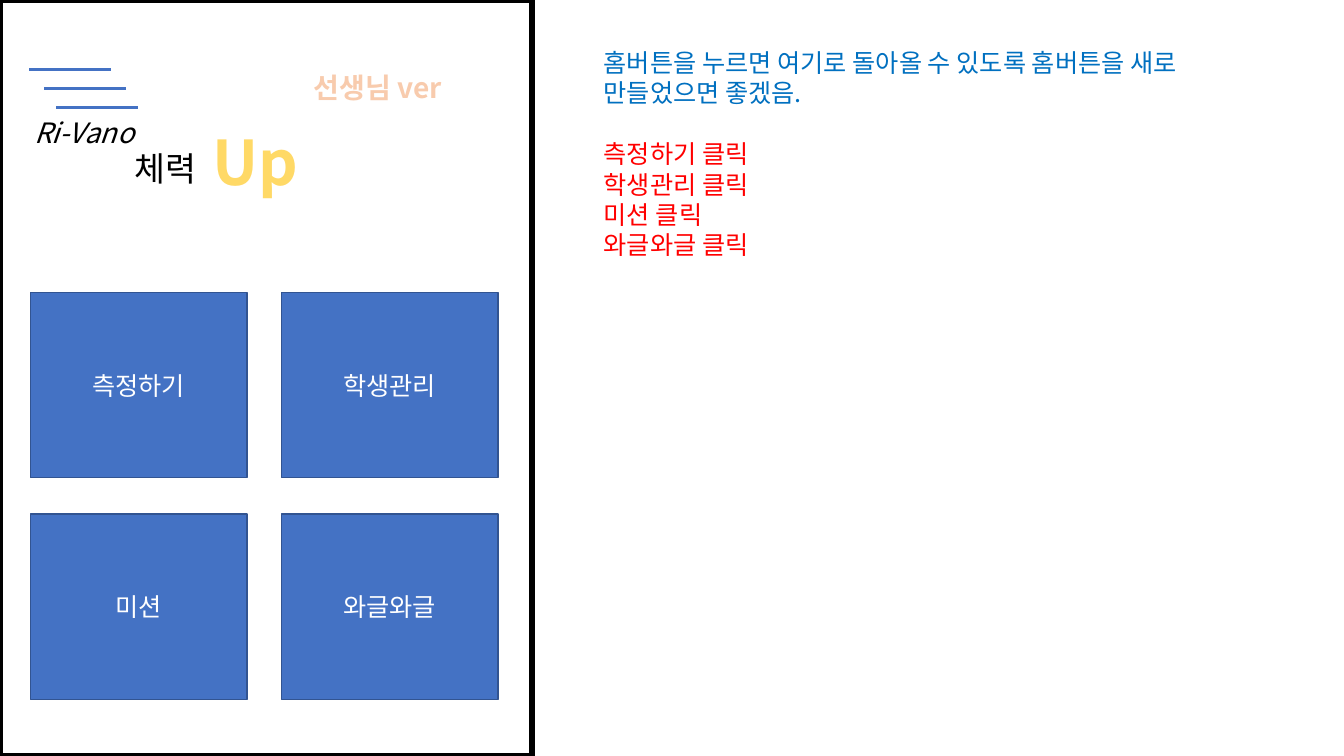
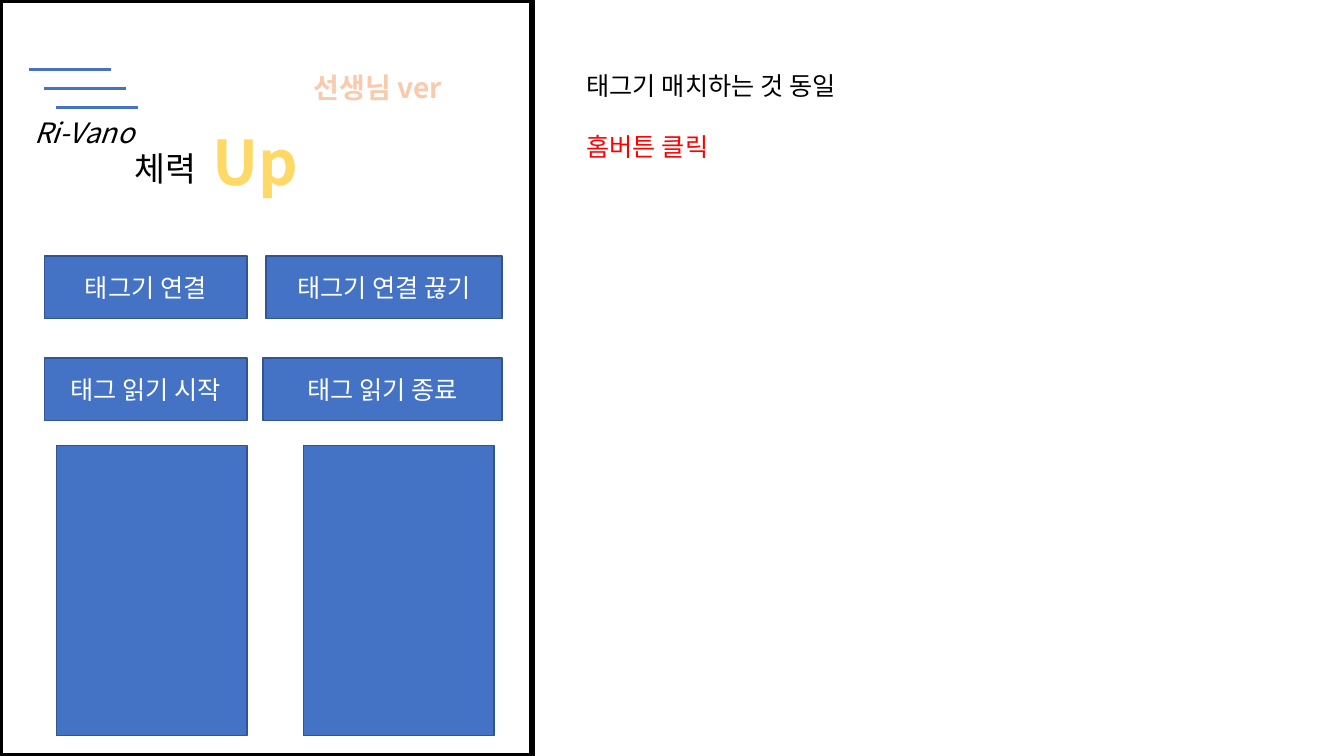
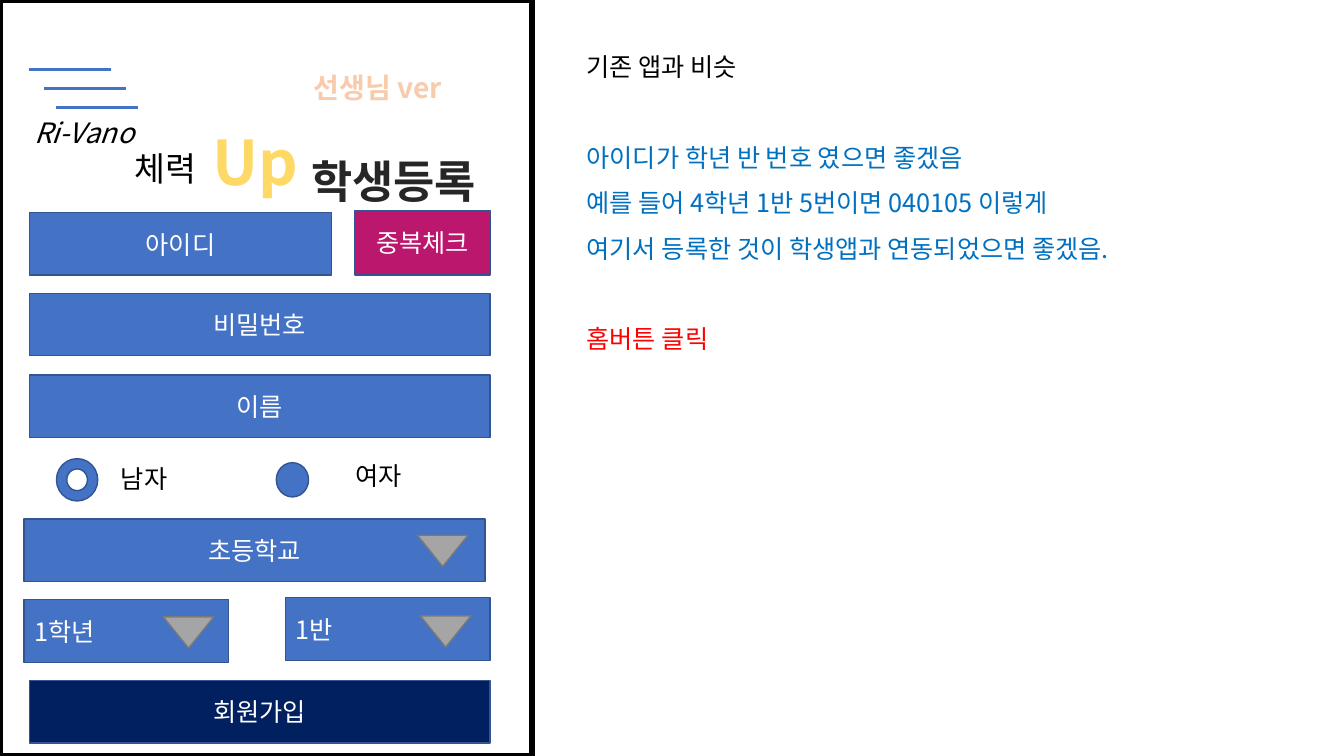
from lxml import etree
from pptx import Presentation
from pptx.dml.color import RGBColor
from pptx.enum.shapes import MSO_CONNECTOR, MSO_SHAPE
from pptx.enum.text import MSO_ANCHOR, MSO_AUTO_SIZE, PP_ALIGN
from pptx.oxml.ns import qn
from pptx.util import Inches, Pt

RECTANGLE = MSO_SHAPE.RECTANGLE
OVAL = MSO_SHAPE.OVAL
DONUT = MSO_SHAPE.DONUT
TRIANGLE = MSO_SHAPE.ISOSCELES_TRIANGLE
STRAIGHT = MSO_CONNECTOR.STRAIGHT
LEFT, CENTER = PP_ALIGN.LEFT, PP_ALIGN.CENTER
TOP, MIDDLE = MSO_ANCHOR.TOP, MSO_ANCHOR.MIDDLE
GROW = MSO_AUTO_SIZE.SHAPE_TO_FIT_TEXT

FONT = "Noto Sans CJK KR"
BLACK = RGBColor(0x00, 0x00, 0x00)
WHITE = RGBColor(0xFF, 0xFF, 0xFF)
BLUE = RGBColor(0x44, 0x72, 0xC4)
BLUE_EDGE = RGBColor(0x32, 0x54, 0x91)
NAVY = RGBColor(0x00, 0x20, 0x60)
MAGENTA = RGBColor(0xBB, 0x17, 0x6D)
GRAY = RGBColor(0xA5, 0xA5, 0xA5)
GRAY_EDGE = RGBColor(0x7A, 0x7A, 0x7A)
CHARCOAL = RGBColor(0x26, 0x26, 0x26)
PEACH = RGBColor(0xF8, 0xCB, 0xAD)
ORANGE = RGBColor(0xED, 0x7D, 0x31)
GOLD = RGBColor(0xFF, 0xC0, 0x00)
YELLOW = RGBColor(0xFF, 0xD9, 0x66)
CREAM = RGBColor(0xFF, 0xF2, 0xCC)
NOTE_BLUE = RGBColor(0x00, 0x70, 0xC0)
NOTE_RED = RGBColor(0xFF, 0x00, 0x00)


def write(box, lines, align=LEFT, anchor=TOP, spacing=None, outline=None, **style):
    frame = box.text_frame
    frame.word_wrap = True
    frame.vertical_anchor = anchor
    for index, (text, color, gap) in enumerate(lines):
        para = frame.add_paragraph() if index else frame.paragraphs[0]
        para.alignment = align
        para.line_spacing = spacing
        para.space_before = Pt(gap)
        span = para.add_run()
        span.text = text
        for name, value in {"name": FONT, "size": Pt(18), **style}.items():
            setattr(span.font, name, value)
        span.font.color.rgb = color
        properties = span.font.fill._xPr
        latin = properties.find(qn("a:latin"))
        latin.addnext(etree.Element(qn("a:ea"), typeface=FONT))
        if outline:
            edge, width = outline
            line = etree.Element(qn("a:ln"), w=str(Pt(width)))
            fill = etree.SubElement(line, qn("a:solidFill"))
            etree.SubElement(fill, qn("a:srgbClr"), val=str(edge))
            properties.insert(0, line)
    return box


def draw(page, kind, place, fill=BLUE, edge=BLUE_EDGE, width=1, label="", align=CENTER):
    shape = page.shapes.add_shape(kind, *map(Inches, place))
    shape.shadow.inherit = False
    shape.fill.solid()
    shape.fill.fore_color.rgb = fill
    shape.line.color.rgb = edge
    shape.line.width = Pt(width)
    if label:
        write(shape, [(label, WHITE, 0)], align, MIDDLE)
    return shape


deck = Presentation()
deck.slide_width, deck.slide_height = Inches(13.33), Inches(7.5)
title_only, blank = deck.slide_layouts[5], deck.slide_layouts[6]

HEADER_TEXTS = [
    ("체력", (1.2, 1.42, 0.88, 0.5), BLACK, {"align": CENTER, "size": Pt(24)}),
    ("Up", (1.99, 1.18, 1.09, 0.84), YELLOW,
     {"align": CENTER, "size": Pt(44), "bold": True, "outline": (GOLD, 1)}),
    ("Ri-Vano", (0.24, 1.1, 1.26, 0.44), BLACK, {"size": Pt(20), "italic": True}),
    ("선생님 ver", (2.89, 0.65, 1.71, 0.44), PEACH,
     {"align": CENTER, "size": Pt(20), "bold": True, "outline": (ORANGE, 1.75)}),
]
UP_STOPS = [(0, GOLD), (4, YELLOW), (87, CREAM)]
SPEED_LINES = [(0.29, 0.69), (0.44, 0.88), (0.56, 1.07)]
NOTES = [
    ((5.89, 0.42, 6.88, 2.22), None, [
        ("홈버튼을 누르면 여기로 돌아올 수 있도록 홈버튼을 새로 만들었으면 좋겠음.", NOTE_BLUE, 0),
        ("측정하기 클릭", NOTE_RED, 22),
        ("학생관리 클릭", NOTE_RED, 0),
        ("미션 클릭", NOTE_RED, 0),
        ("와글와글 클릭", NOTE_RED, 0),
    ]),
    ((5.72, 0.65, 6.34, 1.01), None, [
        ("태그기 매치하는 것 동일", BLACK, 0),
        ("홈버튼 클릭", NOTE_RED, 22),
    ]),
    ((5.72, 0.31, 6.74, 3.28), 1.5, [
        ("기존 앱과 비슷", BLACK, 0),
        ("아이디가 학년 반 번호 였으면 좋겠음", NOTE_BLUE, 32.5),
        ("예를 들어 4학년 1반 5번이면 040105 이렇게", NOTE_BLUE, 0),
        ("여기서 등록한 것이 학생앱과 연동되었으면 좋겠음.", NOTE_BLUE, 0),
        ("홈버튼 클릭", NOTE_RED, 32.5),
    ]),
]

pages = [deck.slides.add_slide(layout) for layout in (blank, blank, title_only)]
for page, (note_place, note_spacing, note_lines) in zip(pages, NOTES):
    phone = draw(page, RECTANGLE, (0, 0, 5.28, 7.5), WHITE, BLACK, 4.5)
    if page.shapes.title is not None:
        page.shapes.title.element.addprevious(phone.element)

    for text, place, color, style in HEADER_TEXTS:
        box = page.shapes.add_textbox(*map(Inches, place))
        write(box, [(text, color, 0)], **style)
        box.text_frame.auto_size = GROW
        if text == "체력":
            box.text_frame.word_wrap = False
        if text == "Up":
            solid = next(box.element.iter(qn("a:rPr"))).find(qn("a:solidFill"))
            gradient = etree.Element(qn("a:gradFill"))
            stops = etree.SubElement(gradient, qn("a:gsLst"))
            for position, color in UP_STOPS:
                stop = etree.SubElement(stops, qn("a:gs"), pos=str(position * 1000))
                etree.SubElement(stop, qn("a:srgbClr"), val=str(color))
            etree.SubElement(gradient, qn("a:lin"), ang="5400000")
            solid.getparent().replace(solid, gradient)

    for left, top in SPEED_LINES:
        line = page.shapes.add_connector(
            STRAIGHT, Inches(left), Inches(top), Inches(left + 0.81), Inches(top))
        line.line.color.rgb = BLUE
        line.line.width = Pt(2)
        etree.SubElement(line.element.spPr, qn("a:effectLst"))

    note = page.shapes.add_textbox(*map(Inches, note_place))
    write(note, note_lines, spacing=note_spacing)
    note.text_frame.auto_size = GROW

menu_page, tag_page, signup_page = pages

for index, label in enumerate(["측정하기", "학생관리", "미션", "와글와글"]):
    row, column = divmod(index, 2)
    place = (0.3 + 2.49 * column, 2.9 + 2.2 * row, 2.15, 1.84)
    draw(menu_page, RECTANGLE, place, label=label)

for label, place in [
    ("태그기 연결", (0.44, 2.54, 2.01, 0.62)),
    ("태그기 연결 끊기", (2.64, 2.54, 2.34, 0.62)),
    ("태그 읽기 시작", (0.44, 3.55, 2.01, 0.62)),
    ("태그 읽기 종료", (2.61, 3.55, 2.37, 0.62)),
    ("", (0.56, 4.42, 1.89, 2.88)),
    ("", (3.01, 4.42, 1.89, 2.88)),
]:
    draw(tag_page, RECTANGLE, place, label=label)

title = signup_page.shapes.title
title.left, title.top, title.width, title.height = map(Inches, (2.54, 1.47, 2.73, 0.64))
write(title, [("학생등록", CHARCOAL, 0)], CENTER, size=Pt(32), bold=True, outline=(WHITE, 1.06))
title.text_frame.auto_size = GROW

for label, place, fill, align in [
    ("아이디", (0.29, 2.11, 3, 0.62), BLUE, CENTER),
    ("중복체크", (3.52, 2.09, 1.34, 0.64), MAGENTA, CENTER),
    ("비밀번호", (0.29, 2.91, 4.57, 0.62), BLUE, CENTER),
    ("이름", (0.29, 3.72, 4.57, 0.62), BLUE, CENTER),
    ("초등학교", (0.24, 5.15, 4.57, 0.62), BLUE, CENTER),
    ("1학년", (0.24, 5.95, 2.03, 0.62), BLUE, LEFT),
    ("1반", (2.83, 5.93, 2.03, 0.62), BLUE, LEFT),
    ("회원가입", (0.29, 6.75, 4.57, 0.62), NAVY, CENTER),
]:
    draw(signup_page, RECTANGLE, place, fill, label=label, align=align)

for label, kind, button_place, left, top in [
    ("남자", DONUT, (0.56, 4.55, 0.41, 0.42), 1.1, 4.55),
    ("여자", OVAL, (2.74, 4.59, 0.32, 0.34), 3.43, 4.52),
]:
    draw(signup_page, kind, button_place)
    box = signup_page.shapes.add_textbox(Inches(left), Inches(top), Inches(1.48), Inches(0.4))
    write(box, [(label, BLACK, 0)])
    box.text_frame.auto_size = GROW

for left, top in [(4.14, 5.31), (1.62, 6.12), (4.17, 6.11)]:
    arrow = draw(signup_page, TRIANGLE, (left, top, 0.5, 0.31), GRAY, GRAY_EDGE)
    arrow.rotation = 180

deck.save("out.pptx")
